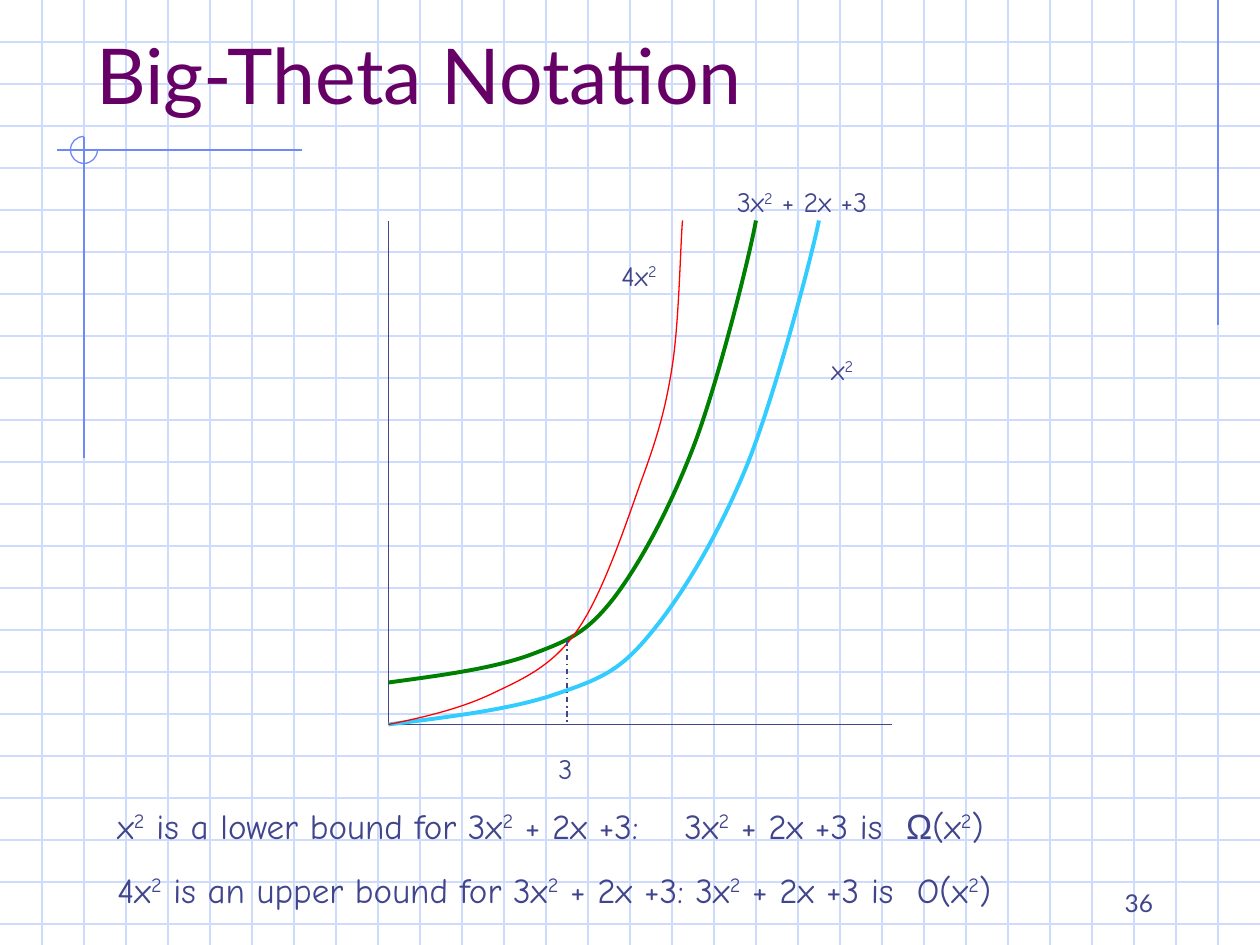
from dataclasses import dataclass
from itertools import groupby

import pptx
import pptx.dml.color
import pptx.enum.dml
import pptx.enum.shapes
import pptx.enum.text
import pptx.oxml.ns
import pptx.util
from lxml import etree

qn = pptx.oxml.ns.qn
ALIGN = pptx.enum.text.PP_ALIGN
ANCHOR = pptx.enum.text.MSO_ANCHOR
DASH = pptx.enum.dml.MSO_LINE

# Every length is counted in cells of the background grid
COLS, ROWS = 30, 22.5
CELL = pptx.util.Inches(10) / COLS


@dataclass(frozen=True)
class Theme:
    grid: str = "CFDBFD"
    accent: str = "6F89F7"
    ink: str = "40458C"
    title: str = "660066"
    lower: str = "33CCFF"
    function: str = "008000"
    upper: str = "FF0000"
    heading_font: str = "Lato"
    body_font: str = "Comic Neue"
    symbol_font: str = "Arial"
    title_size: float = 44
    bound_size: float = 20
    label_size: float = 16
    page_size: float = 14
    thin: float = 0.75
    thick: float = 2.25


T = Theme()


@dataclass(frozen=True)
class Line:
    start: tuple[float, float]
    end: tuple[float, float]
    color: str
    dash: object = None


@dataclass(frozen=True)
class Curve:
    points: list[tuple[float, float]]  # start, then three points per Bézier piece
    color: str
    width: float


@dataclass(frozen=True)
class Text:
    box: tuple[float, float, float, float]
    lines: tuple[str, ...]
    size: float = T.label_size
    font: str = T.body_font
    color: str = T.ink
    before: float = 10
    align: object = ALIGN.LEFT
    anchor: object = ANCHOR.TOP


def emu(cells: float) -> int:
    return round(cells * CELL)


def rgb(color: str) -> pptx.dml.color.RGBColor:
    return pptx.dml.color.RGBColor.from_string(color)


def draw_line(s, line: Line) -> None:
    sp = s.shapes.add_connector(pptx.enum.shapes.MSO_CONNECTOR.STRAIGHT,
                                *map(emu, line.start + line.end))
    etree.SubElement(sp._element.spPr, qn("a:effectLst"))
    sp.line.color.rgb = rgb(line.color)
    sp.line.width = pptx.util.Pt(T.thin)
    if line.dash:
        sp.line.dash_style = line.dash


def draw_curve(s, curve: Curve) -> None:
    points = [(emu(x), emu(y)) for x, y in curve.points]
    builder = s.shapes.build_freeform(*points[0], scale=1.0)
    builder.add_line_segments(points[1:], close=False)
    sp = builder.convert_to_shape()
    # Fold each three straight segments into one cubic piece
    outline = next(sp._element.iter(qn("a:path")))
    segments = outline.findall(qn("a:lnTo"))
    for i in range(0, len(segments), 3):
        bezier = etree.SubElement(outline, qn("a:cubicBezTo"))
        for segment in segments[i:i + 3]:
            bezier.append(segment[0])
            outline.remove(segment)
    sp.shadow.inherit = False
    sp.fill.background()
    sp.line.color.rgb = rgb(curve.color)
    sp.line.width = pptx.util.Pt(curve.width)


def draw_text(s, text: Text) -> None:
    tf = s.shapes.add_textbox(*map(emu, text.box)).text_frame
    tf.word_wrap = True
    tf.vertical_anchor = text.anchor
    for i, content in enumerate(text.lines):
        p = tf.add_paragraph() if i else tf.paragraphs[0]
        p.alignment = text.align
        p.space_before = pptx.util.Pt(text.before)
        # Squares become superscript runs, Greek letters use the symbol font
        for mark, chars in groupby(content, lambda c: c if c in "²Ω" else ""):
            r = p.add_run()
            r.text = "2" if mark == "²" else "".join(chars)
            formats = {"size": pptx.util.Pt(text.size),
                       "name": T.symbol_font if mark == "Ω" else text.font}
            for name, value in formats.items():
                setattr(r.font, name, value)
            r.font.color.rgb = rgb(text.color)
            if mark == "²":
                r.font._element.set("baseline", "30000")


# Background grid
GRID = [Line((0, row), (COLS, row), T.grid) for row in range(1, 23)]
GRID += [Line((col, 0), (col, ROWS), T.grid) for col in range(1, COLS)]

# Corner ornament: crossing lines and three quarters of a ring
CX, CY, R, K = 2, 3.57, 0.32, 0.18
ORNAMENT = [
    Line((29, 0), (29, 7.75), T.accent),
    Line((7.2, CY), (1.35, CY), T.accent),
    Line((CX, 3.27), (CX, 10.9), T.accent),
]
RING = Curve([(CX + x, CY + y) for x, y in [
    (0, -R), (-K, -R), (-R, -K), (-R, 0), (-R, K), (-K, R), (0, R),
    (K, R), (R, K), (R, 0)]], T.accent, T.thin)

# Plot, measured in cells right of and above its origin
OX, OY, SIDE = 9.25, 17.25, 12
AXES = [
    Line((OX, OY - SIDE), (OX, OY), T.ink),
    Line((OX, OY), (OX + SIDE, OY), T.ink),
]
CROSSING = Line((13.5, 15.25), (13.5, OY), T.ink, DASH.DASH_DOT)


def plot(points: list[tuple[float, float]], color: str, width: float) -> Curve:
    return Curve([(OX + x, OY - y) for x, y in points], color, width)


CURVES = [
    plot([(0, 1), (1.25, 1.17), (2.5, 1.33), (3.41, 1.67), (4.28, 2), (4.7, 2.16),
          (5.36, 3), (6, 3.84), (6.71, 5.16), (7.28, 6.66), (7.85, 8.16),
          (8.6, 11.16), (8.75, SIDE)], T.function, T.thick),
    plot([(0, 0), (1.46, 0.18), (2.93, 0.36), (3.98, 0.72), (5.03, 1.08),
          (5.51, 1.26), (6.26, 2.19), (7.01, 3.09), (7.88, 4.56), (8.54, 6.18),
          (9.2, 7.83), (10.07, 11.1), (10.25, SIDE)], T.lower, T.thick),
    plot([(0, 0), (0.89, 0.18), (1.76, 0.39), (2.5, 0.75), (3.26, 1.11),
          (3.92, 1.41), (4.5, 2.25), (5.09, 3.09), (5.63, 4.71), (6, 5.75),
          (6.38, 6.78), (6.59, 7.47), (6.75, 8.5), (6.92, 9.54), (6.95, 11.46),
          (7, SIDE)], T.upper, T.thin),
]

# Page number, title, curve labels and conclusions
LABEL_H = 1.1
TEXTS = [
    Text((21.5, 21.25, 6.25, 0.75), ("36",), T.page_size, T.heading_font,
         before=0, align=ALIGN.RIGHT, anchor=ANCHOR.BOTTOM),
    Text((2, 1, 27, 2), ("Big-Theta Notation",), T.title_size, T.heading_font,
         T.title, before=0, anchor=ANCHOR.BOTTOM),
    Text((19.5, 8.25, 4.5, LABEL_H), ("x²",)),
    Text((13, 17.75, 1, LABEL_H), ("3",)),
    Text((14.5, 6, 1.75, LABEL_H), ("4x²",)),
    Text((17.25, 4.25, 4.5, LABEL_H), ("3x² + 2x +3",)),
    Text((2.5, 19, 26.25, 2.82),
         ("x² is a lower bound for 3x² + 2x +3:\t3x² + 2x +3 is  Ω(x²)",
          "4x² is an upper bound for 3x² + 2x +3: 3x² + 2x +3 is  O(x²)"),
         T.bound_size, before=12.5),
]


def main() -> None:
    prs = pptx.Presentation()
    prs.slide_width, prs.slide_height = emu(COLS), emu(ROWS)
    s = prs.slides.add_slide(prs.slide_layouts[6])
    for line in GRID + ORNAMENT + AXES:
        draw_line(s, line)
    for curve in [RING] + CURVES:
        draw_curve(s, curve)
    draw_line(s, CROSSING)
    for text in TEXTS:
        draw_text(s, text)
    prs.save("out.pptx")


if __name__ == "__main__":
    main()
